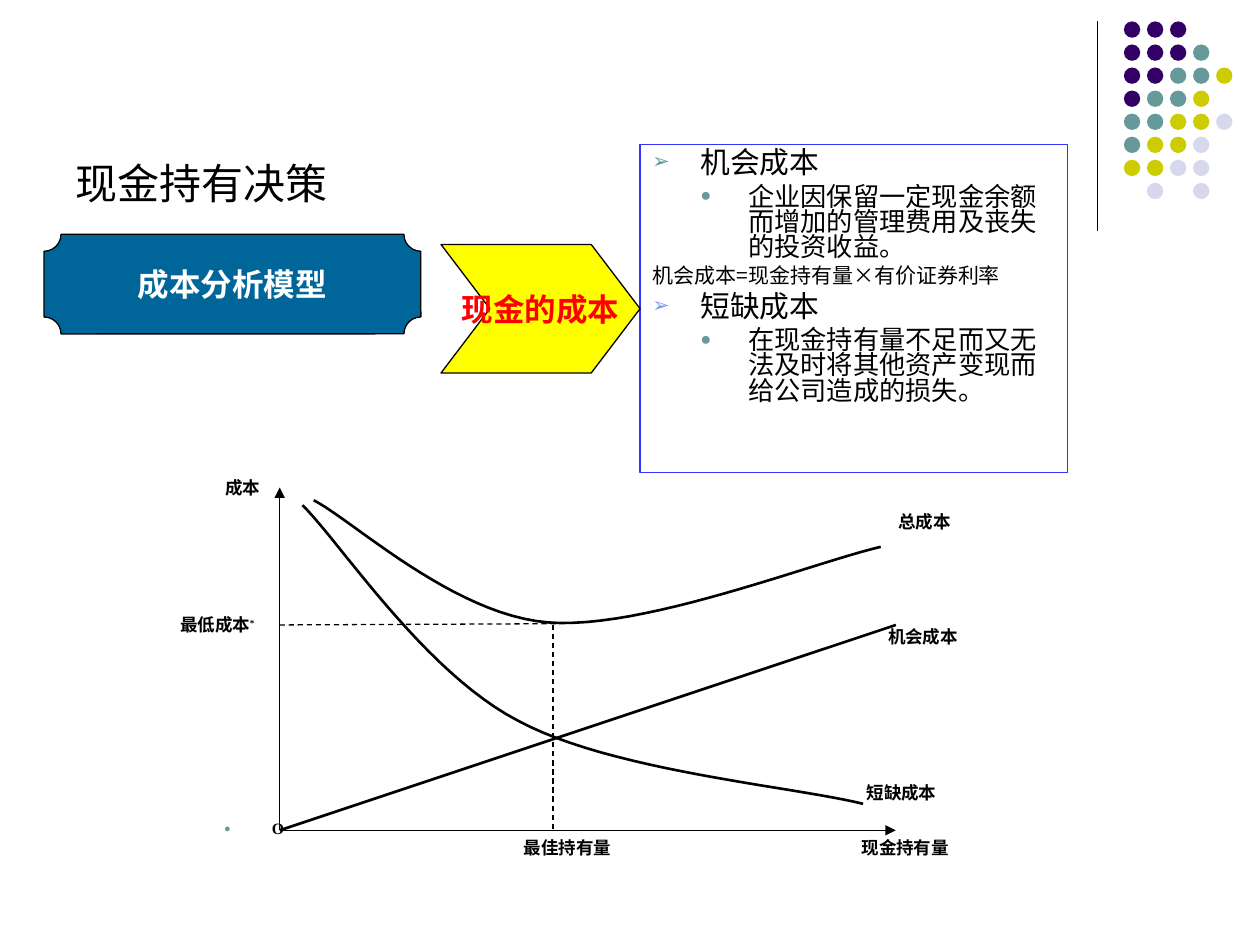
from lxml import etree
from pptx import Presentation
from pptx import util as u
from pptx.dml.color import RGBColor
from pptx.enum import dml, shapes, text
from pptx.oxml import ns

# Slide grid: 100 columns by 75 rows of square cells
CELL = u.Inches(0.1)
COLUMNS, ROWS = 100, 75

BLACK = RGBColor(0x00, 0x00, 0x00)
WHITE = RGBColor(0xFF, 0xFF, 0xFF)
RED = RGBColor(0xFF, 0x00, 0x00)
YELLOW = RGBColor(0xFF, 0xFF, 0x00)
BLUE = RGBColor(0x00, 0x66, 0x99)
FRAME = RGBColor(0x33, 0x33, 0xFF)
PURPLE = RGBColor(0x33, 0x00, 0x66)
TEAL = RGBColor(0x66, 0x99, 0x99)
OLIVE = RGBColor(0xCC, 0xCC, 0x00)
PALE = RGBColor(0xD8, 0xD8, 0xEC)
SKY = RGBColor(0x7E, 0x9C, 0xE8)

CJK = "Noto Sans CJK SC"
SERIF = "Times New Roman"
INSET = 1  # side margin of a text box, in cells

DOT_COLORS = {"P": PURPLE, "T": TEAL, "O": OLIVE, "L": PALE}
DOT_ROWS = ["PPP", "PPPT", "PPTTO", "PTTO", "TTOOL", "TOOL", "OOLL", " L L"]

# text, size, bullet, bullet colour, left indent, space before
COSTS = [
    ("机会成本", 17, "➢", TEAL, 3.8, 0),
    ("企业因保留一定现金余额而增加的管理费用及丧失的投资收益。", 15, "●", TEAL, 7.6, 3.7),
    ("机会成本=现金持有量×有价证券利率", 12, None, None, 3.8, 3),
    ("短缺成本", 17, "➢", SKY, 3.8, 4.2),
    ("在现金持有量不足而又无法及时将其他资产变现而给公司造成的损失。", 15, "●", TEAL, 7.6, 3.7),
]

# text, box column, row, width, column where the words start
LABELS = [
    ("总成本", 69.3, 40.1, 10.9, 71.3),
    ("机会成本", 65.2, 49.2, 12.7, 70.5),
    ("短缺成本", 63.8, 61.6, 12.7, 68.8),
    ("最佳持有量", 40.6, 65.9, 11.9, 41.6),
    ("成本", 15, 37.4, 7.2, 17.9),
    ("现金持有量", 60.2, 65.9, 17.2, 68.4),
]

# Chart points
ORIGIN = (22.2, 65.9)
AXIS_TOP = (22.2, 38.7)
AXIS_RIGHT = (71.1, 65.9)
OPPORTUNITY_END = (71.1, 49.6)
SHORTAGE_CURVE = [(24, 40.1), (26.9, 42.9), (33.6, 53.3), (41.1, 57.2),
                  (48.5, 61.2), (62.8, 62.4), (68.5, 63.8)]
TOTAL_CURVE = [(24.9, 39.7), (28, 41.3), (36, 48.8), (43.5, 49.4),
               (51, 50), (64.4, 44.7), (69.9, 43.4)]


def grid(*cells):
    return [round(CELL * cell) for cell in cells]


def style(span, size, color=BLACK, font=CJK, bold=False):
    span.font.size = u.Pt(size)
    span.font.name = font
    span.font.bold = bold
    span.font.color.rgb = color
    east = etree.SubElement(span._r.get_or_add_rPr(), ns.qn("a:ea"))
    east.set("typeface", CJK)


def set_indent(para, left, first=0):
    props = para._p.get_or_add_pPr()
    for key, cells in (("marL", left), ("indent", first)):
        props.set(key, str(grid(cells)[0]))


def set_bullet(para, char, color):
    props = para._p.get_or_add_pPr()
    tint = etree.SubElement(props, ns.qn("a:buClr"))
    etree.SubElement(tint, ns.qn("a:srgbClr")).set("val", str(color))
    for tag, key, value in (("a:buSzPct", "val", "70000"),
                            ("a:buFont", "typeface", "Arial"),
                            ("a:buChar", "char", char)):
        etree.SubElement(props, ns.qn(tag)).set(key, value)


def add_box(page, words, area, size, **look):
    box = page.shapes.add_textbox(*grid(*area))
    frame = box.text_frame
    frame.word_wrap = True
    frame.text = words
    style(frame.paragraphs[0].runs[0], size, **look)
    return frame


def add_block(page, kind, area, fill=None, line=None):
    block = page.shapes.add_shape(kind, *grid(*area))
    block.shadow.inherit = False
    if fill is None:
        block.fill.background()
    else:
        block.fill.solid()
        block.fill.fore_color.rgb = fill
    if line is None:
        block.line.fill.background()
    else:
        block.line.color.rgb = line
        block.line.width = u.Pt(0.75)
    return block


def add_banner(page, kind, area, fill, words, color, notch):
    banner = add_block(page, kind, area, fill, BLACK)
    banner.adjustments[0] = notch
    frame = banner.text_frame
    frame.word_wrap = False
    frame.vertical_anchor = text.MSO_ANCHOR.MIDDLE
    frame.text = words
    frame.paragraphs[0].alignment = text.PP_ALIGN.CENTER
    style(frame.paragraphs[0].runs[0], 18, color, "Arial", True)


def add_line(page, start, end, width=0.75, dashed=False, arrow=False):
    line = page.shapes.add_connector(shapes.MSO_CONNECTOR.STRAIGHT, *grid(*start, *end))
    line.line.color.rgb = BLACK
    line.line.width = u.Pt(width)
    if dashed:
        line.line.dash_style = dml.MSO_LINE.DASH
    if arrow:
        etree.SubElement(line.line._get_or_add_ln(), ns.qn("a:tailEnd")).set("type", "triangle")
    etree.SubElement(line._element.spPr, ns.qn("a:effectLst"))


def bezier(knots, steps=24):
    """Points along joined cubic curves that share their end knots."""
    points = [knots[0]]
    for first in range(0, len(knots) - 1, 3):
        for step in range(1, steps + 1):
            t = step / steps
            weights = ((1 - t) ** 3, 3 * t * (1 - t) ** 2, 3 * t * t * (1 - t), t ** 3)
            points.append(tuple(sum(w * knot[axis] for w, knot in zip(weights, knots[first:first + 4]))
                                for axis in (0, 1)))
    return points


def add_curve(page, knots):
    points = [grid(*point) for point in bezier(knots)]
    builder = page.shapes.build_freeform(*points[0])
    builder.add_line_segments(points[1:], close=False)
    curve = builder.convert_to_shape()
    curve.shadow.inherit = False
    curve.fill.background()
    curve.line.color.rgb = BLACK
    curve.line.width = u.Pt(1.5)


def add_corner_dots(page):
    add_line(page, (87.1, 1.7), (87.1, 18.3))
    pitch = 1.83
    for row, codes in enumerate(DOT_ROWS):
        for column, code in enumerate(codes):
            if code in DOT_COLORS:
                area = (89.2 + column * pitch, 1.7 + row * pitch, 1.3, 1.3)
                add_block(page, shapes.MSO_SHAPE.OVAL, area, DOT_COLORS[code])


def add_cost_list(page):
    panel = add_block(page, shapes.MSO_SHAPE.RECTANGLE, (50.8, 11.5, 33.9, 26), line=FRAME)
    frame = panel.text_frame
    frame.word_wrap = True
    frame.vertical_anchor = text.MSO_ANCHOR.TOP
    frame.text = "\n".join(cost[0] for cost in COSTS)
    for para, (_, size, char, color, left, before) in zip(frame.paragraphs, COSTS):
        para.alignment = text.PP_ALIGN.LEFT
        set_indent(para, left, -3.8)
        if char:
            set_bullet(para, char, color)
        para.line_spacing = 0.8
        para.space_before = u.Pt(before)
        style(para.runs[0], size)


def add_cost_chart(page):
    add_line(page, ORIGIN, AXIS_TOP, arrow=True)
    add_line(page, ORIGIN, AXIS_RIGHT, arrow=True)
    add_line(page, (22.2, 49.6), (44.2, 49.5), dashed=True)
    add_curve(page, SHORTAGE_CURVE)
    add_line(page, ORIGIN, OPPORTUNITY_END, width=1.5)
    add_curve(page, TOTAL_CURVE)
    add_line(page, (43.9, 49.6), (43.9, 65.9), dashed=True)

    # Labels
    for words, column, row, width, start in LABELS:
        frame = add_box(page, words, (column, row, width, 4.1), 10, font=SERIF, bold=True)
        set_indent(frame.paragraphs[0], start - column - INSET)
    lowest = add_box(page, "最低成本", (13.2, 48.2, 7.8, 4.1), 10, font=SERIF, bold=True)
    lowest.margin_left = lowest.margin_right = 0
    set_indent(lowest.paragraphs[0], 1.1)
    star = lowest.paragraphs[0].add_run()
    star.text = "*"
    style(star, 9, font=SERIF, bold=True)
    star._r.get_or_add_rPr().set("baseline", "30000")
    zero = add_box(page, "O", (16.8, 64.5, 5.4, 4.1), 9, font=SERIF, bold=True)
    set_indent(zero.paragraphs[0], 3.8, -3.8)
    set_bullet(zero.paragraphs[0], "●", TEAL)


def main():
    deck = Presentation()
    deck.slide_width, deck.slide_height = grid(COLUMNS, ROWS)
    page = deck.slides.add_slide(deck.slide_layouts[6])

    # Corner decoration and title
    add_corner_dots(page)
    title = add_box(page, "现金持有决策", (5, 3.6, 82.5, 13.4), 24)
    title.vertical_anchor = text.MSO_ANCHOR.BOTTOM

    # Model, arrow and kinds of cost
    add_cost_list(page)
    add_banner(page, shapes.MSO_SHAPE.CHEVRON, (35, 19.4, 15.8, 10.2), YELLOW, "现金的成本", RED, 0.38)
    add_banner(page, shapes.MSO_SHAPE.PLAQUE, (3.5, 18.6, 29.9, 7.9), BLUE, "成本分析模型", WHITE, 0.17)

    # Cost curves
    add_cost_chart(page)
    deck.save("out.pptx")


if __name__ == "__main__":
    main()
